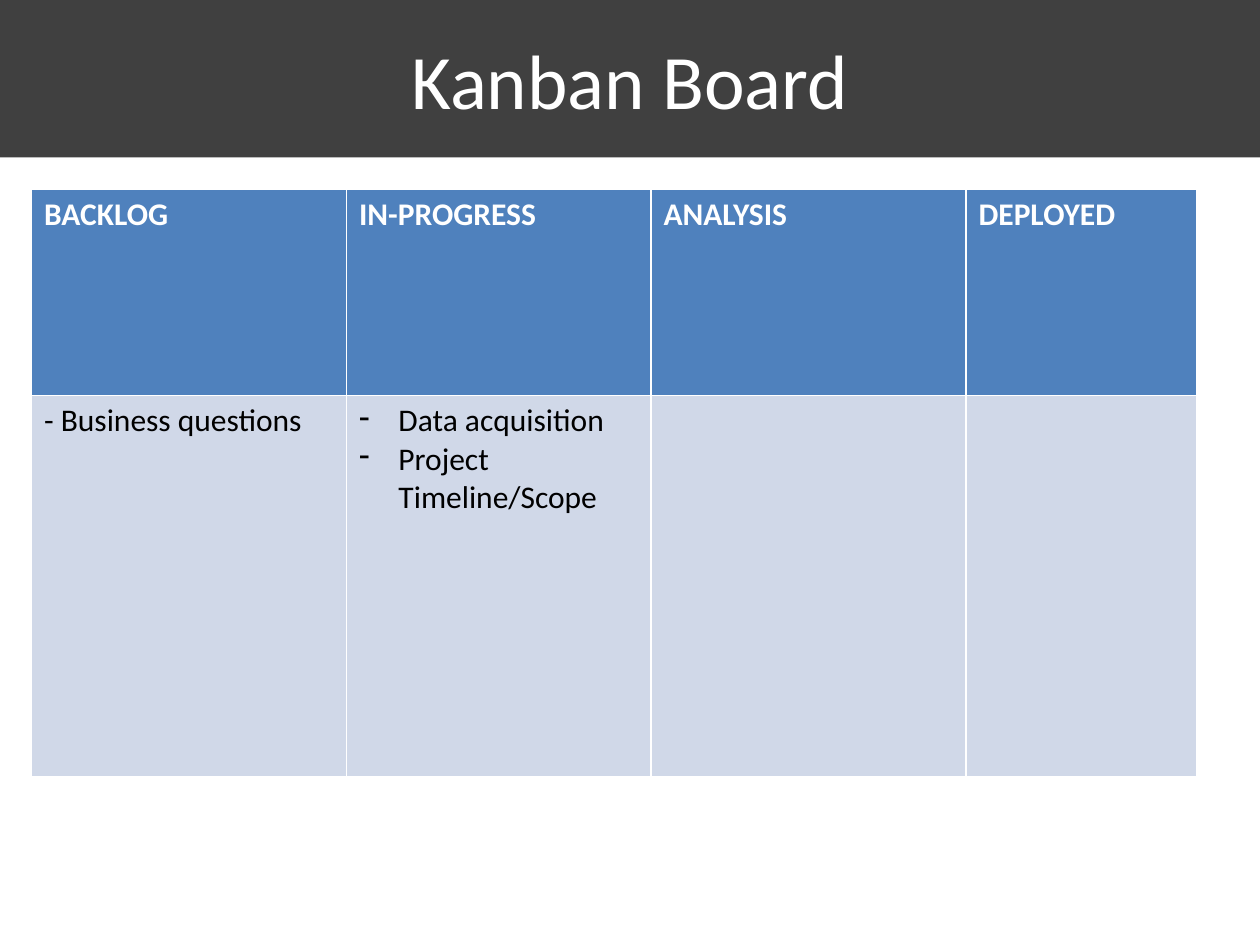
from dataclasses import dataclass

from lxml import etree
from pptx import Presentation
from pptx.dml.color import RGBColor
from pptx.enum import shapes, text
from pptx.oxml import ns
from pptx.util import Pt


@dataclass(frozen=True)
class Theme:
    font: str = "Calibri"
    title_size: int = 44
    body_size: int = 18
    banner: str = "404040"
    header: str = "4F81BD"
    body: str = "D0D8E8"
    light: str = "FFFFFF"
    dark: str = "000000"


THEME = Theme()
INDENT = 22.5
COLUMN_WIDTHS = [180, 174, 180, 132]
ROW_HEIGHTS = [118, 218]
# Heading, bulleted or not, tasks
STAGES = [
    ("BACKLOG", False, ["- Business questions"]),
    ("IN-PROGRESS", True, ["Data acquisition", "Project Timeline/Scope"]),
    ("ANALYSIS", False, []),
    ("DEPLOYED", False, []),
]


def set_fill(target, color):
    target.fill.solid()
    target.fill.fore_color.rgb = RGBColor.from_string(color)


def set_font(paragraph, size, color, bold=False):
    font = paragraph.font
    font.name, font.size, font.bold = THEME.font, Pt(size), bold
    font.color.rgb = RGBColor.from_string(color)


def add_dash(paragraph):
    properties = paragraph._p.get_or_add_pPr()
    properties.set("marL", str(Pt(INDENT)))
    properties.set("indent", str(-Pt(INDENT)))
    bullet = etree.Element(ns.qn("a:buChar"), char="-")
    properties.insert_element_before(bullet, "a:tabLst", "a:defRPr", "a:extLst")


def fill_cell(cell, lines, fill, color, bold=False, bulleted=False):
    set_fill(cell, fill)
    cell.text_frame.text = "\n".join(lines)
    for paragraph in cell.text_frame.paragraphs:
        set_font(paragraph, THEME.body_size, color, bold)
        if bulleted:
            add_dash(paragraph)


def add_banner(slide, left, top, width, height, title):
    banner = slide.shapes.add_shape(
        shapes.MSO_SHAPE.RECTANGLE, Pt(left), Pt(top), Pt(width), Pt(height))
    banner.shadow.inherit = False
    banner.line.fill.background()
    set_fill(banner, THEME.banner)
    frame = banner.text_frame
    frame.text = title
    frame.vertical_anchor = text.MSO_ANCHOR.MIDDLE
    paragraph = frame.paragraphs[0]
    paragraph.alignment = text.PP_ALIGN.CENTER
    set_font(paragraph, THEME.title_size, THEME.light)


def add_board(slide, left, top, width, height):
    # White cell borders come from the default table style
    table = slide.shapes.add_table(
        len(ROW_HEIGHTS), len(STAGES),
        Pt(left), Pt(top), Pt(width), Pt(height)).table
    for column, share in zip(table.columns, COLUMN_WIDTHS):
        column.width = Pt(width * share / sum(COLUMN_WIDTHS))
    for row, share in zip(table.rows, ROW_HEIGHTS):
        row.height = Pt(height * share / sum(ROW_HEIGHTS))
    for index, (heading, bulleted, tasks) in enumerate(STAGES):
        fill_cell(table.cell(0, index), [heading],
                  THEME.header, THEME.light, bold=True)
        fill_cell(table.cell(1, index), tasks,
                  THEME.body, THEME.dark, bulleted=bulleted)


def main():
    presentation = Presentation()
    presentation.slide_width, presentation.slide_height = Pt(720), Pt(540)
    slide = presentation.slides.add_slide(presentation.slide_layouts[6])
    add_banner(slide, 0, 0, 720, 90, "Kanban Board")
    add_board(slide, 18, 108, 666, 336)
    presentation.save("out.pptx")


if __name__ == "__main__":
    main()
